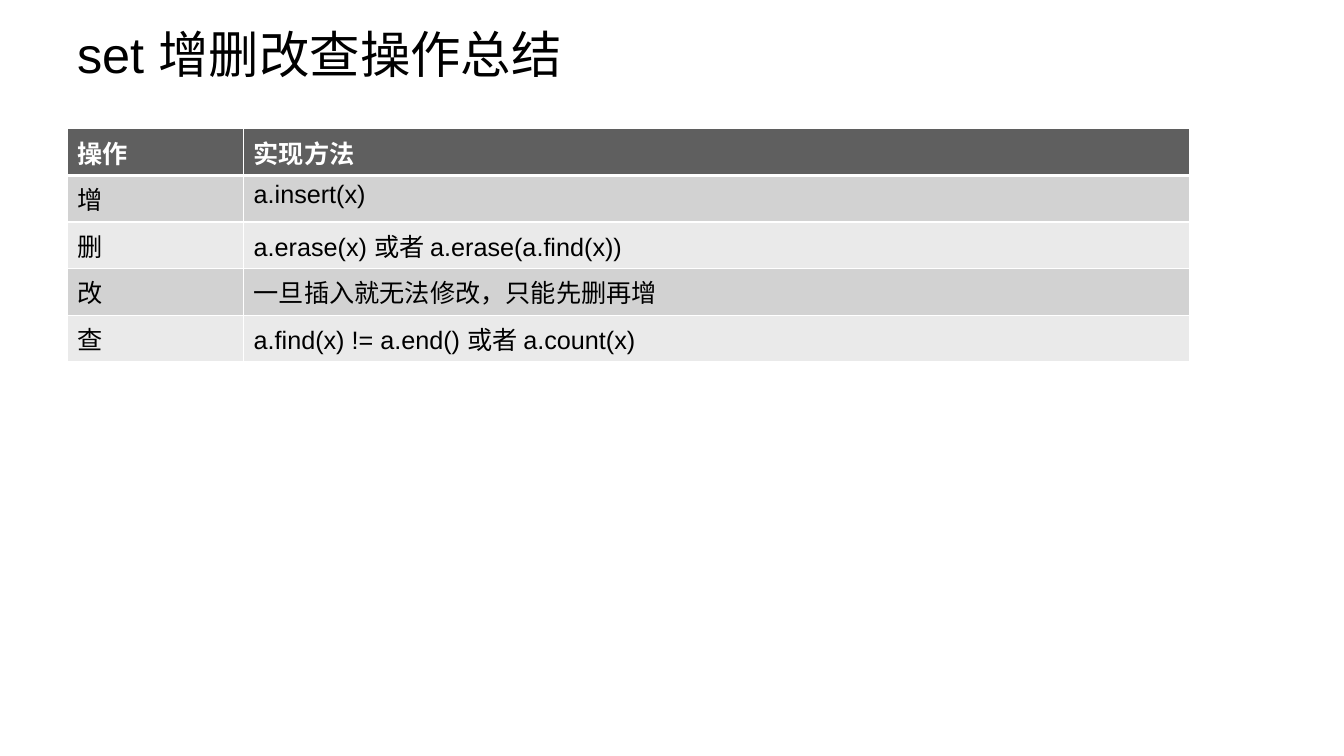
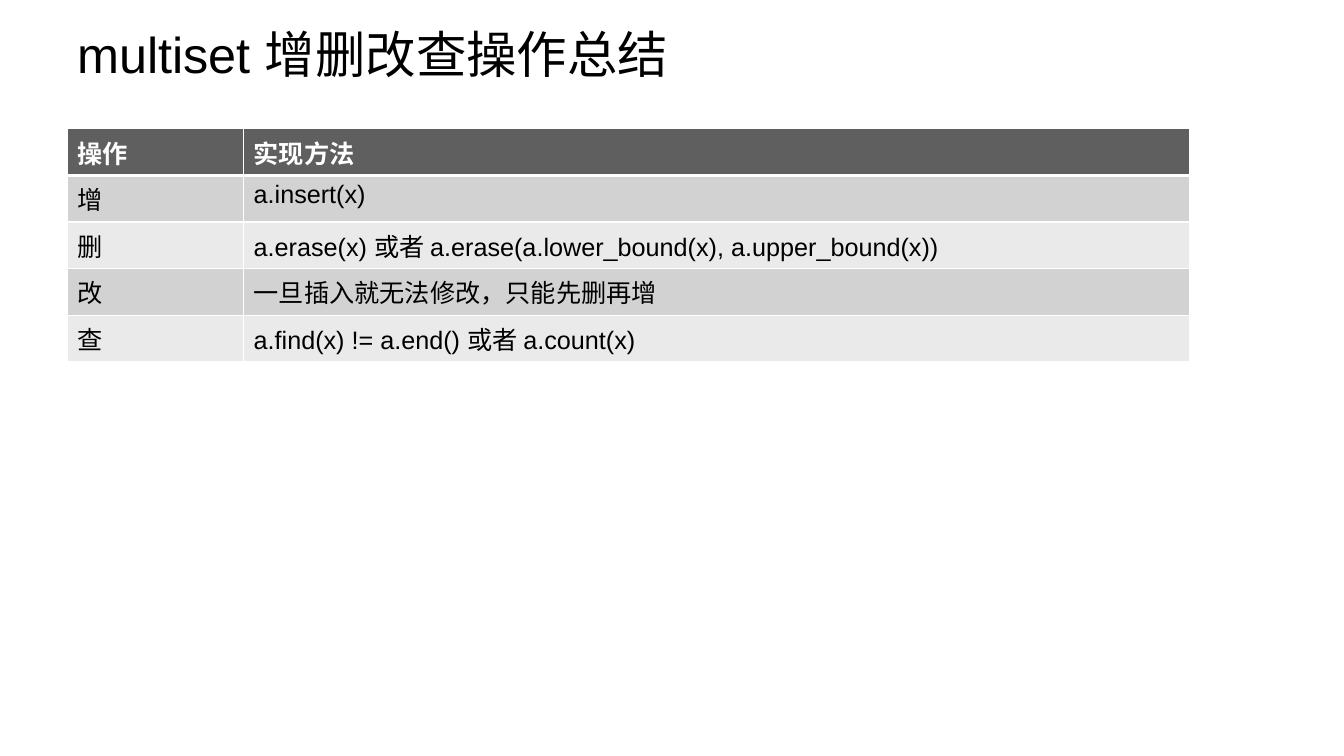
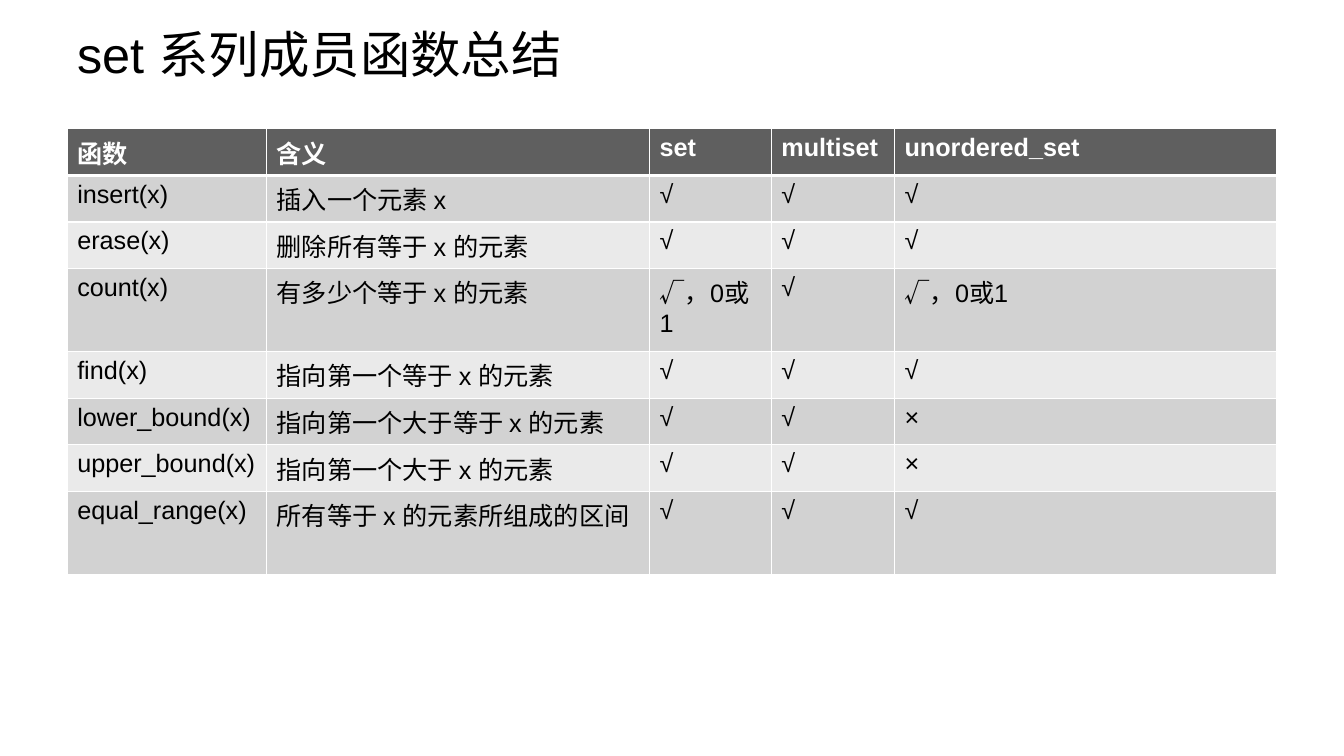
from lxml.etree import SubElement
from pptx import Presentation
from pptx.dml.color import RGBColor
from pptx.enum.lang import MSO_LANGUAGE_ID
from pptx.enum.text import MSO_ANCHOR, MSO_AUTO_SIZE, PP_ALIGN
from pptx.oxml.ns import qn
from pptx.util import Pt

# Shared look
FONT = "Arial"
BLACK, WHITE = "000000", "FFFFFF"
HEADER_FILL = "5F5F5F"
BAND_FILLS = ["EAEAEA", "D2D2D2"]
LEFT, TITLE_TOP, TITLE_WIDTH, TITLE_HEIGHT = 48, 15, 864, 46
TABLE_TOP, ROW_HEIGHT = 92, 30


def style_text(text_frame, size, color, bold=False):
    for paragraph in text_frame.paragraphs:
        paragraph.alignment = PP_ALIGN.LEFT
        for run in paragraph.runs:
            font = run.font
            font.name, font.size, font.bold = FONT, Pt(size), bold
            font.color.rgb = RGBColor.from_string(color)
            font.language_id = MSO_LANGUAGE_ID.SIMPLIFIED_CHINESE


def add_borders(cell, widths):
    properties = cell._tc.get_or_add_tcPr()
    for side, width in widths.items():
        line = SubElement(properties, qn(f"a:ln{side}"), w=str(Pt(width)))
        fill = SubElement(line, qn("a:solidFill"))
        SubElement(fill, qn("a:srgbClr"), val=WHITE)


# Content: title, column widths, table rows
operation_widths = [126, 676]
operation_header = ["操作", "实现方法"]
insert_row = ["增", "a.insert(x)"]
closing_rows = [
    ["改", "一旦插入就无法修改，只能先删再增"],
    ["查", "a.find(x) != a.end() 或者 a.count(x)"],
]
slides = [
    ("set 增删改查操作总结", operation_widths, [
        operation_header,
        insert_row,
        ["删", "a.erase(x) 或者 a.erase(a.find(x))"],
        *closing_rows,
    ]),
    ("multiset 增删改查操作总结", operation_widths, [
        operation_header,
        insert_row,
        ["删", "a.erase(x) 或者 a.erase(a.lower_bound(x), a.upper_bound(x))"],
        *closing_rows,
    ]),
    ("set 系列成员函数总结", [142.5, 273.5, 87, 88, 273], [
        ["函数", "含义", "set", "multiset", "unordered_set"],
        ["insert(x)", "插入一个元素 x", "√", "√", "√"],
        ["erase(x)", "删除所有等于 x 的元素", "√", "√", "√"],
        ["count(x)", "有多少个等于 x 的元素", "√，0或1", "√", "√，0或1"],
        ["find(x)", "指向第一个等于 x 的元素", "√", "√", "√"],
        ["lower_bound(x)", "指向第一个大于等于 x 的元素", "√", "√", "×"],
        ["upper_bound(x)", "指向第一个大于 x 的元素", "√", "√", "×"],
        ["equal_range(x)", "所有等于 x 的元素所组成的区间", "√", "√", "√"],
    ]),
]

presentation = Presentation()
presentation.slide_width, presentation.slide_height = Pt(960), Pt(540)
title_only = presentation.slide_layouts[5]

for heading, widths, rows in slides:
    slide = presentation.slides.add_slide(title_only)

    # Title
    title = slide.shapes.title
    title.left, title.top = Pt(LEFT), Pt(TITLE_TOP)
    title.width, title.height = Pt(TITLE_WIDTH), Pt(TITLE_HEIGHT)
    title.text_frame.text = heading
    title.text_frame.auto_size = MSO_AUTO_SIZE.NONE
    title.text_frame.vertical_anchor = MSO_ANCHOR.MIDDLE
    style_text(title.text_frame, 36, BLACK)

    # Table
    table = slide.shapes.add_table(
        len(rows), len(widths), Pt(LEFT), Pt(TABLE_TOP),
        Pt(sum(widths)), Pt(ROW_HEIGHT * len(rows))).table
    for column, width in zip(table.columns, widths):
        column.width = Pt(width)
    for row_index, row in enumerate(rows):
        is_header = row_index == 0
        fill_color = HEADER_FILL if is_header else BAND_FILLS[row_index % 2]
        top_width = 3 if row_index == 1 else 1
        bottom_width = 3 if is_header else 1
        for column_index, text in enumerate(row):
            cell = table.cell(row_index, column_index)
            cell.text_frame.text = text
            style_text(cell.text_frame, 18, WHITE if is_header else BLACK, is_header)
            add_borders(cell, {"L": 1, "R": 1, "T": top_width, "B": bottom_width})
            cell.fill.solid()
            cell.fill.fore_color.rgb = RGBColor.from_string(fill_color)

presentation.save("out.pptx")
